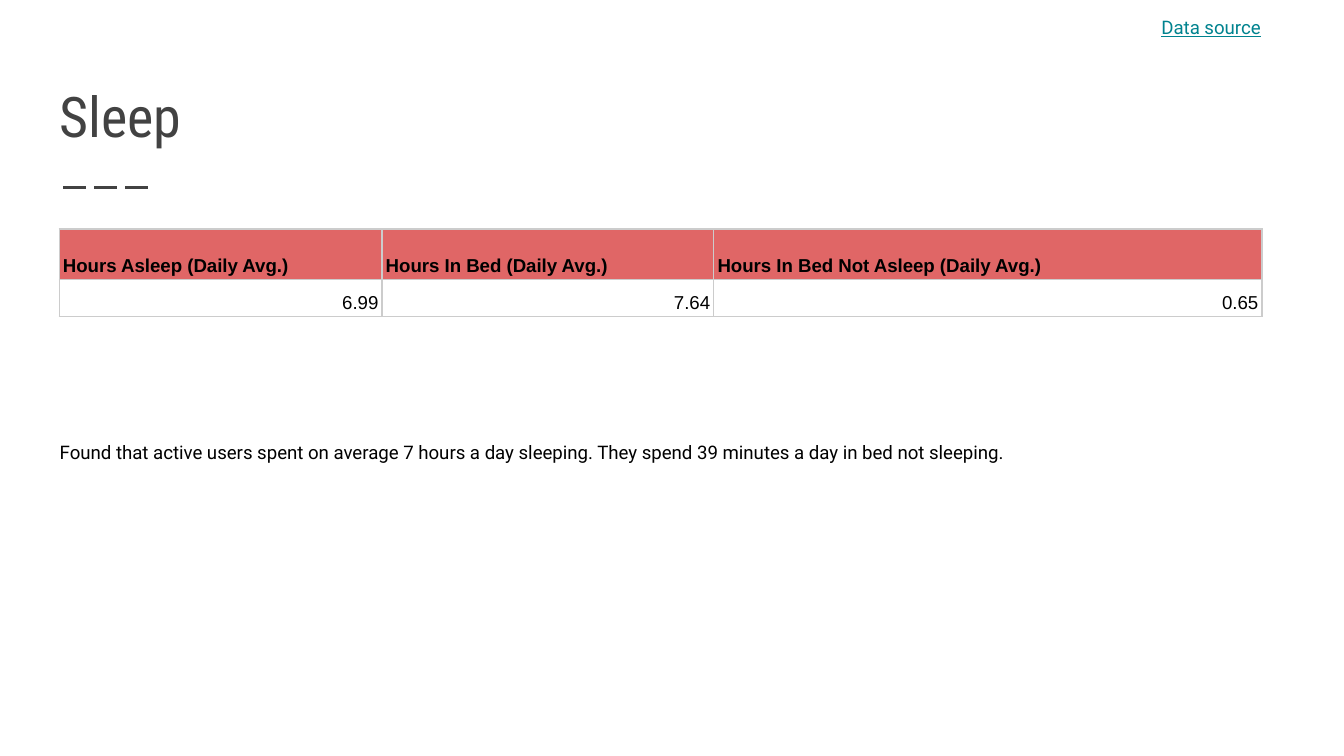
from dataclasses import dataclass

from lxml import etree
from pptx import Presentation
from pptx.dml.color import RGBColor
from pptx.enum.dml import MSO_LINE
from pptx.enum.shapes import MSO_CONNECTOR
from pptx.enum.text import MSO_ANCHOR, PP_ALIGN
from pptx.oxml.ns import qn
from pptx.util import Cm, Pt

LONG_DASH = MSO_LINE.LONG_DASH
STRAIGHT = MSO_CONNECTOR.STRAIGHT
TOP, BOTTOM = MSO_ANCHOR.TOP, MSO_ANCHOR.BOTTOM
LEFT, RIGHT = PP_ALIGN.LEFT, PP_ALIGN.RIGHT

CHARCOAL = RGBColor(0x42, 0x42, 0x42)
BLACK = RGBColor(0x00, 0x00, 0x00)
CORAL = RGBColor(0xE0, 0x66, 0x66)
TEAL = RGBColor(0x00, 0x83, 0x8F)
GRID_GREY = RGBColor(0xCC, 0xCC, 0xCC)

BOX_INSET = 0.26
CELL_INSET = 0.07
LINE_SPACING = 1.15


@dataclass(frozen=True)
class Style:
    font: str
    size: float
    color: RGBColor
    bold: bool = False
    underline: bool = False


@dataclass(frozen=True)
class Caption:
    text: str
    left: float
    top: float
    width: float
    height: float
    style: Style
    anchor: MSO_ANCHOR = TOP
    spacing: float = LINE_SPACING


@dataclass(frozen=True)
class Measure:
    label: str
    hours: str
    width: float


HEADER_STYLE = Style("Arial", 10, BLACK, bold=True)
VALUE_STYLE = Style("Arial", 10, BLACK)

CAPTIONS = [
    Caption("Sleep", 0.87, 1.05, 23.67, 2.03,
            Style("Roboto Condensed", 30, CHARCOAL), anchor=BOTTOM, spacing=1.0),
    Caption("Found that active users spent on average 7 hours a day sleeping. "
            "They spend 39 minutes a day in bed not sleeping.",
            0.87, 8.03, 23.67, 1.45, Style("Roboto", 10, BLACK)),
    Caption("Data source", 21.69, 0, 4.11, 1.42,
            Style("Roboto", 10, TEAL, underline=True)),
]

MEASURES = [
    Measure("Hours Asleep (Daily Avg.)", "6.99", 6.1),
    Measure("Hours In Bed (Daily Avg.)", "7.64", 6.27),
    Measure("Hours In Bed Not Asleep (Daily Avg.)", "0.65", 10.36),
]
ROW_HEIGHTS = [0.96, 0.7]


def write(paragraph, text: str, style: Style, align=LEFT,
          spacing: float = LINE_SPACING) -> None:
    paragraph.alignment = align
    paragraph.line_spacing = spacing
    run = paragraph.add_run()
    run.text = text
    run.font.name = style.font
    run.font.size = Pt(style.size)
    run.font.bold = style.bold
    run.font.underline = style.underline
    run.font.color.rgb = style.color


def add_caption(slide, caption: Caption) -> None:
    frame = slide.shapes.add_textbox(
        Cm(caption.left), Cm(caption.top), Cm(caption.width), Cm(caption.height)
    ).text_frame
    frame.word_wrap = True
    frame.vertical_anchor = caption.anchor
    frame.margin_left = frame.margin_right = Cm(BOX_INSET)
    frame.margin_top = frame.margin_bottom = Cm(BOX_INSET)
    write(frame.paragraphs[0], caption.text, caption.style, spacing=caption.spacing)


def add_title_rule(slide) -> None:
    rule = slide.shapes.add_connector(STRAIGHT, Cm(1.2), Cm(3.54), Cm(2.9), Cm(3.54))
    rule.line.color.rgb = CHARCOAL
    rule.line.width = Pt(1.5)
    rule.line.dash_style = LONG_DASH
    etree.SubElement(rule._element.spPr, qn("a:effectLst"))


def add_borders(cell) -> None:
    properties = cell._tc.get_or_add_tcPr()
    for position, side in enumerate(("lnL", "lnR", "lnT", "lnB")):
        border = etree.Element(qn(f"a:{side}"), w=str(Pt(0.75)))
        fill = etree.SubElement(border, qn("a:solidFill"))
        etree.SubElement(fill, qn("a:srgbClr"), val=str(GRID_GREY))
        properties.insert(position, border)


def fill_cell(cell, text: str, style: Style, align) -> None:
    cell.vertical_anchor = BOTTOM
    cell.margin_left = cell.margin_right = Cm(CELL_INSET)
    cell.margin_top = cell.margin_bottom = Cm(CELL_INSET)
    write(cell.text_frame.paragraphs[0], text, style, align)
    add_borders(cell)


def add_sleep_table(slide, measures: list[Measure]) -> None:
    table = slide.shapes.add_table(
        len(ROW_HEIGHTS), len(measures), Cm(1.12), Cm(4.33),
        Cm(sum(measure.width for measure in measures)), Cm(sum(ROW_HEIGHTS))
    ).table
    table.horz_banding = False
    for row, height in zip(table.rows, ROW_HEIGHTS):
        row.height = Cm(height)
    for column, measure in enumerate(measures):
        table.columns[column].width = Cm(measure.width)
        header, value = table.cell(0, column), table.cell(1, column)
        header.fill.solid()
        header.fill.fore_color.rgb = CORAL
        value.fill.background()
        fill_cell(header, measure.label, HEADER_STYLE, LEFT)
        fill_cell(value, measure.hours, VALUE_STYLE, RIGHT)


def main() -> None:
    deck = Presentation()
    deck.slide_width, deck.slide_height = Cm(25.4), Cm(14.29)
    slide = deck.slides.add_slide(deck.slide_layouts[6])
    add_title_rule(slide)
    for caption in CAPTIONS:
        add_caption(slide, caption)
    add_sleep_table(slide, MEASURES)
    deck.save("out.pptx")


if __name__ == "__main__":
    main()
